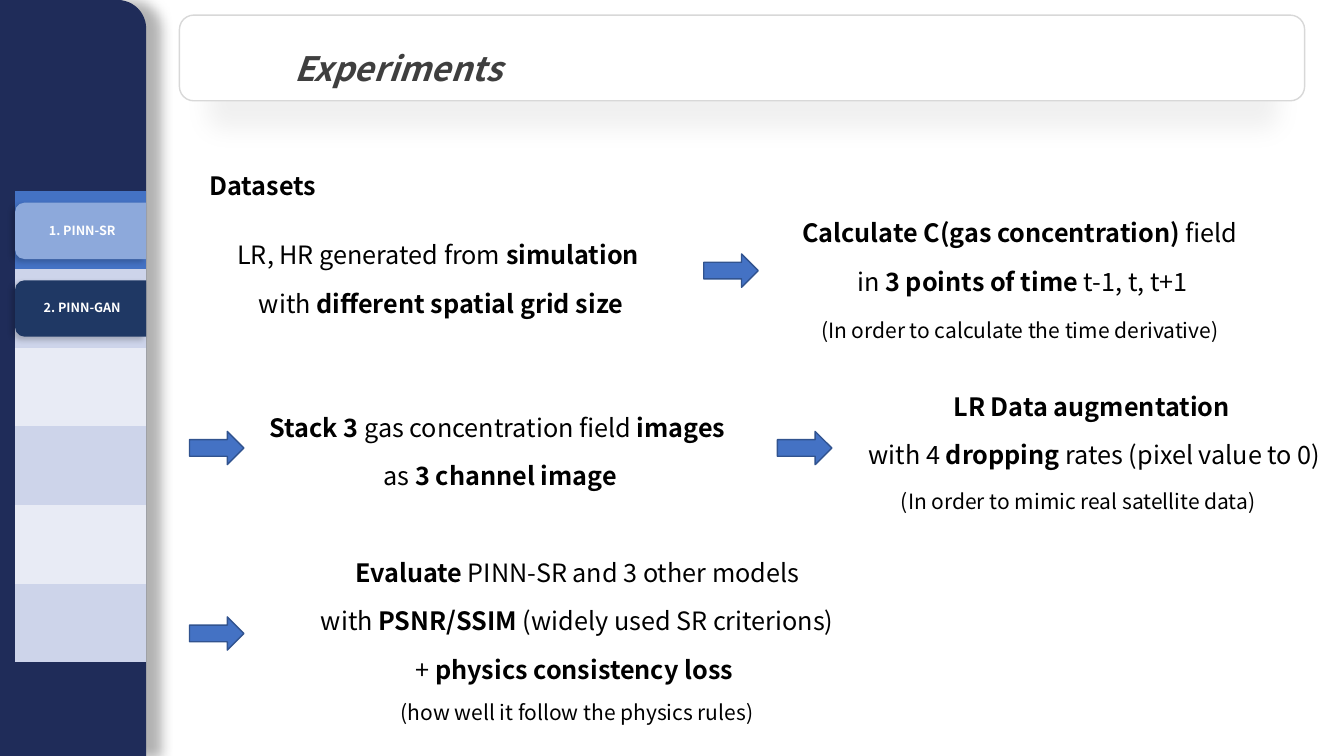
from dataclasses import dataclass

from lxml.etree import SubElement
from pptx import Presentation
from pptx.dml.color import RGBColor
from pptx.enum.shapes import MSO_SHAPE
from pptx.enum.text import MSO_ANCHOR, MSO_AUTO_SIZE, PP_ALIGN
from pptx.oxml.ns import qn
from pptx.util import Emu, Pt

EMU_PER_PX = 9144
PLAIN_TABLE_STYLE = "{2D5ABB26-0587-4C30-8999-92F81FD0307C}"


@dataclass(frozen=True)
class Theme:
    font: str = "Noto Sans CJK KR"
    navy: str = "1F2C59"
    accent: str = "4472C4"
    accent_edge: str = "31538F"
    band_dark: str = "CDD4EA"
    band_light: str = "E8EBF5"
    tab_light: str = "8DA9DB"
    tab_dark: str = "1F3864"
    white: str = "FFFFFF"
    header_edge: str = "D8D8D8"
    title_color: str = "3F3F3F"
    black: str = "000000"
    title: int = 24
    body: int = 18
    note: int = 15
    tab: int = 9


THEME = Theme()
SIDEBAR_SHADOW = {"alpha": 30, "blur": 9, "distance": 10, "angle": 0}
HEADER_SHADOW = {"alpha": 5, "blur": 17, "distance": 19, "angle": 90, "scale": 95}
TAB_SHADOW = {"alpha": 20, "blur": 4, "distance": 3, "angle": 135}

TABS = [("1. PINN-SR", THEME.tab_light), ("2. PINN-GAN", THEME.tab_dark)]
TAB_TOP, TAB_STEP = 201, 77

ARROWS = [(698, 252), (188, 428), (771, 428), (188, 612)]

STEPS = [
    ((104, 215, 667, 107), [
        ("LR, HR generated from *simulation *", THEME.body),
        ("with *different spatial grid size*", THEME.body)]),
    ((678, 193, 667, 107), [
        ("*Calculate C(gas concentration) *field", THEME.body),
        (" in *3 points of time *t-1, t, t+1", THEME.body)]),
    ((160, 386, 667, 100), [
        ("*Stack 3* gas concentration field *images*\n as *3 channel image*", THEME.body)]),
    ((678, 295, 667, 45), [("(In order to calculate the time derivative)", THEME.note)]),
    ((752, 365, 667, 107), [
        ("*LR Data augmentation *", THEME.body),
        ("with 4 *dropping* rates (pixel value to 0)", THEME.body)]),
    ((736, 465, 667, 45), [("(In order to mimic real satellite data)", THEME.note)]),
    ((239, 530, 667, 196), [
        ("*Evaluate* PINN-SR and 3 other models", THEME.body),
        ("with *PSNR/SSIM* (widely used SR criterions)", THEME.body),
        ("+ *physics consistency loss *", THEME.body),
        ("(how well it follow the physics rules)", THEME.note)]),
]


def px(value):
    return Emu(value * EMU_PER_PX)


def apply_format(target, values):
    for name, value in values.items():
        setattr(target, name, value)


def add_shadow(shape, alpha, blur, distance, angle, scale=100):
    effects = shape.element.spPr.find(qn("a:effectLst"))
    shadow = SubElement(effects, qn("a:outerShdw"), {
        "blurRad": str(Pt(blur)), "dist": str(Pt(distance)),
        "dir": str(angle * 60000), "sx": str(scale * 1000),
        "algn": "ctr", "rotWithShape": "0"})
    color = SubElement(shadow, qn("a:srgbClr"), {"val": THEME.black})
    SubElement(color, qn("a:alpha"), {"val": str(alpha * 1000)})


def add_block(slide, kind, box, fill, line=None, adjustments=(), shadow=None):
    shape = slide.shapes.add_shape(kind, *map(px, box))
    shape.shadow.inherit = False
    shape.fill.solid()
    shape.fill.fore_color.rgb = RGBColor.from_string(fill)
    if line:
        shape.line.color.rgb = RGBColor.from_string(line)
        shape.line.width = Pt(1)
    else:
        shape.line.fill.background()
    for index, value in enumerate(adjustments):
        shape.adjustments[index] = value
    if shadow:
        add_shadow(shape, **shadow)
    return shape


def write_paragraph(paragraph, text, size, color, paragraph_format, italic=None):
    apply_format(paragraph, paragraph_format)
    for line_number, line in enumerate(text.split("\n")):
        if line_number:
            paragraph.add_line_break()
        for index, part in enumerate(line.split("*")):
            if not part:
                continue
            run = paragraph.add_run()
            run.text = part
            apply_format(run.font, {"name": THEME.font, "size": Pt(size),
                                    "bold": index % 2 == 1, "italic": italic})
            run.font.color.rgb = RGBColor.from_string(color)


def add_text(slide, box, lines, color, paragraph_format, frame_format):
    frame = slide.shapes.add_textbox(*map(px, box)).text_frame
    apply_format(frame, {"word_wrap": True, **frame_format})
    for index, (text, size) in enumerate(lines):
        paragraph = frame.add_paragraph() if index else frame.paragraphs[0]
        write_paragraph(paragraph, text, size, color, paragraph_format)


def add_band_table(slide):
    fills = [THEME.accent] + [THEME.band_dark, THEME.band_light] * 2 + [THEME.band_dark]
    box = (15, 189, 130, 78 * len(fills))
    table_frame = slide.shapes.add_table(len(fills), 1, *map(px, box))
    table_frame.element.find(".//" + qn("a:tableStyleId")).text = PLAIN_TABLE_STYLE
    for row, fill in zip(table_frame.table.rows, fills):
        cell_fill = row.cells[0].fill
        cell_fill.solid()
        cell_fill.fore_color.rgb = RGBColor.from_string(fill)


def add_header(slide):
    header = add_block(slide, MSO_SHAPE.ROUNDED_RECTANGLE, (178, 15, 1116, 85),
                       THEME.white, THEME.header_edge, [0.167], HEADER_SHADOW)
    header.text_frame.vertical_anchor = MSO_ANCHOR.MIDDLE
    write_paragraph(header.text_frame.paragraphs[0], "*Experiments*", THEME.title,
                    THEME.title_color, {"level": 2, "line_spacing": 1.5,
                                        "alignment": PP_ALIGN.LEFT}, italic=True)


def add_tab(slide, label, fill, top):
    width, height = 56, 130
    left = 15 + (height - width) // 2
    tab = add_block(slide, MSO_SHAPE.ROUND_2_SAME_RECTANGLE,
                    (left, top - (height - width) // 2, width, height),
                    fill, None, [0.167, 0], TAB_SHADOW)
    tab.rotation = 270
    add_text(slide, (18, top + 2, 127, 51), [(f"*{label}*", THEME.tab)], THEME.white,
             {"alignment": PP_ALIGN.CENTER}, {"vertical_anchor": MSO_ANCHOR.MIDDLE})


def add_arrow(slide, left, top):
    add_block(slide, MSO_SHAPE.RIGHT_ARROW, (left, top, 54, 33),
              THEME.accent, THEME.accent_edge)


def main():
    presentation = Presentation()
    apply_format(presentation, {"slide_width": px(1333), "slide_height": px(750)})
    slide = presentation.slides.add_slide(presentation.slide_layouts[6])

    add_block(slide, MSO_SHAPE.ROUND_1_RECTANGLE, (0, 0, 145, 750), THEME.navy,
              None, [0.195], SIDEBAR_SHADOW)
    add_band_table(slide)
    add_header(slide)
    for index, (label, fill) in enumerate(TABS):
        add_tab(slide, label, fill, TAB_TOP + index * TAB_STEP)

    growing = {"auto_size": MSO_AUTO_SIZE.SHAPE_TO_FIT_TEXT}
    add_text(slide, (198, 149, 480, 50), [("*Datasets*", THEME.body)], THEME.black,
             {"line_spacing": 1.5}, growing)
    for box, lines in STEPS:
        add_text(slide, box, lines, THEME.black,
                 {"alignment": PP_ALIGN.CENTER, "line_spacing": 1.6}, growing)
    for left, top in ARROWS:
        add_arrow(slide, left, top)

    presentation.save("out.pptx")


if __name__ == "__main__":
    main()
